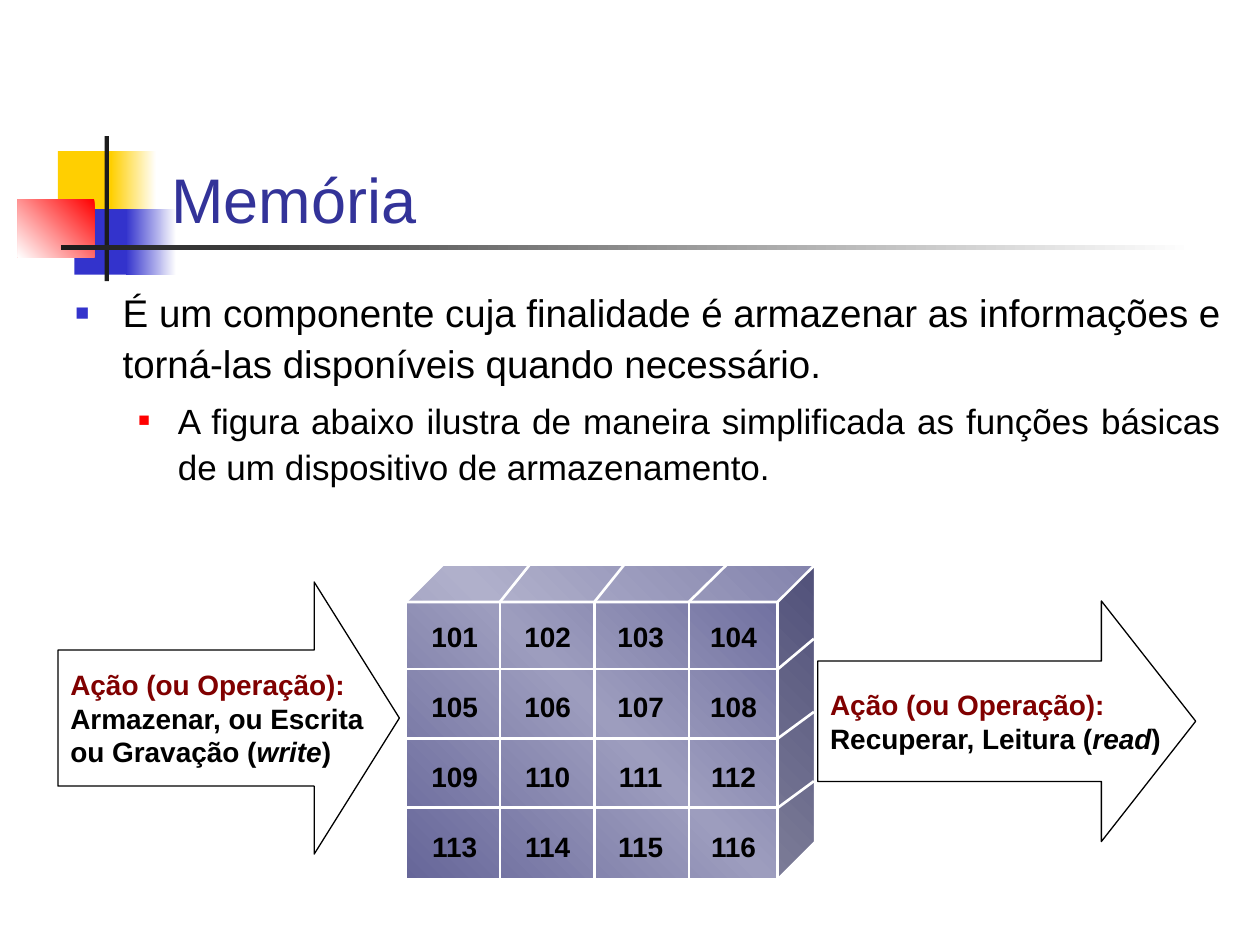
from copy import deepcopy

from lxml import etree
from pptx import Presentation
from pptx.dml.color import RGBColor
from pptx.enum.shapes import MSO_CONNECTOR, MSO_SHAPE
from pptx.enum.text import MSO_ANCHOR, PP_ALIGN
from pptx.oxml.ns import qn
from pptx.util import Pt

WHITE = RGBColor(0xFF, 0xFF, 0xFF)
BLACK = RGBColor(0, 0, 0)
YELLOW = RGBColor(0xFF, 0xCF, 0x01)
BLUE = RGBColor(0x33, 0x33, 0xCC)
RED = RGBColor(0xFF, 0, 0)
CHARCOAL = RGBColor(0x1C, 0x1C, 0x1C)
TITLE_BLUE = RGBColor(0x33, 0x33, 0x99)
MAROON = RGBColor(0x80, 0, 0)
SLATE = RGBColor(0x66, 0x66, 0x99)
LAVENDER = RGBColor(0x9D, 0x9D, 0xBE)


def paint(shape, colors, angle=180):
    """Fill with one colour, or a gradient of evenly spaced colours; angle is counter-clockwise."""
    shape.shadow.inherit = False
    shape.line.fill.background()
    if len(colors) == 1:
        shape.fill.solid()
        shape.fill.fore_color.rgb = colors[0]
        return
    shape.fill.gradient()
    shape.fill.gradient_angle = angle
    stops = shape.fill.gradient_stops
    if len(colors) == 3:
        first = shape.element.spPr.find(".//" + qn("a:gs"))
        first.addnext(deepcopy(first))
        stops = shape.fill.gradient_stops
    for index, (stop, color) in enumerate(zip(stops, colors)):
        stop.position = index / (len(colors) - 1)
        stop.color.rgb = color


def add_span(para, text, size, color=BLACK, bold=False, italic=False):
    span = para.add_run()
    span.text = text
    span.font.name = "Arial"
    span.font.size = Pt(size)
    span.font.color.rgb = color
    span.font.bold = bold
    span.font.italic = italic


deck = Presentation()
deck.slide_width, deck.slide_height = Pt(720), Pt(540)
page = deck.slides.add_slide(deck.slide_layouts[6])

# Corner ornament and rule under the title
ornament = [
    (33.1, 86.4, 34.6, 37.4, [YELLOW], 180),
    (63.4, 86.4, 25.9, 37.4, [WHITE, YELLOW], 180),
    (42.5, 119.5, 33.1, 37.4, [BLUE], 180),
    (72, 119.5, 28.8, 37.4, [WHITE, BLUE], 180),
    (10.1, 113.8, 43.9, 33.1, [RED, WHITE], 225),
    (59.8, 77.8, 2.5, 82.8, [CHARCOAL], 180),
    (34.6, 140.2, 648, 2.5, [WHITE, CHARCOAL], 180),
]
for left, top, width, height, colors, angle in ornament:
    block = page.shapes.add_shape(MSO_SHAPE.RECTANGLE, Pt(left), Pt(top), Pt(width), Pt(height))
    paint(block, colors, angle)

# Title
title = page.shapes.add_textbox(Pt(90.7), Pt(48.2), Pt(613.4), Pt(90)).text_frame
title.word_wrap = True
title.vertical_anchor = MSO_ANCHOR.BOTTOM
add_span(title.paragraphs[0], "Memória", 36, TITLE_BLUE)

# Body text: text, level, size, margin, hanging indent, space before, bullet colour, bullet percent
body = page.shapes.add_textbox(Pt(36), Pt(159.1), Pt(668.9), Pt(135.4)).text_frame
body.word_wrap = True
points = [
    ("É um componente cuja finalidade é armazenar as informações e torná-las "
     "disponíveis quando necessário.", 0, 22, 27, 27, 5.5, BLUE, 60),
    ("A figura abaixo ilustra de maneira simplificada as funções básicas de um "
     "dispositivo de armazenamento.", 1, 20, 58.5, 22.5, 5, RED, 55),
]
for index, (text, level, size, margin, hanging, before, color, percent) in enumerate(points):
    para = body.add_paragraph() if index else body.paragraphs[0]
    para.level = level
    para.alignment = PP_ALIGN.JUSTIFY
    para.line_spacing = 1.1
    para.space_before = Pt(before)
    add_span(para, text, size)
    properties = para._p.get_or_add_pPr()
    properties.set("marL", str(Pt(margin)))
    properties.set("indent", str(-Pt(hanging)))
    bullet_color = etree.SubElement(properties, qn("a:buClr"))
    etree.SubElement(bullet_color, qn("a:srgbClr"), val=str(color))
    etree.SubElement(properties, qn("a:buSzPct"), val=str(percent * 1000))
    etree.SubElement(properties, qn("a:buFont"), typeface="Arial")
    etree.SubElement(properties, qn("a:buChar"), char="■")

# Memory cube
memory = page.shapes.add_group_shape().shapes
cube = memory.add_shape(MSO_SHAPE.CUBE, Pt(231.8), Pt(322.6), Pt(234), Pt(180))
cube.adjustments[0] = 0.119
paint(cube, [SLATE, LAVENDER, SLATE], 225)
cube.line.color.rgb = WHITE
cube.line.width = Pt(1.5)

front_left, front_right, front_top, front_bottom = 231.8, 444.6, 343.8, 502.6
back_right, back_top = 465.1, 322.6
row_lines = [382.3 + 39.6 * row for row in range(3)]
column_lines = [285.8 + 54 * column for column in range(3)]
grid = [(front_left, y, front_right, y) for y in row_lines]
grid += [(x, front_bottom, x, front_top) for x in column_lines]
grid += [(x, front_top, x + shift, back_top) for x, shift in zip(column_lines, (17, 17, 21.6))]
grid += [(front_right, y, back_right, y - rise) for y, rise in zip(row_lines, (17.3, 15.1, 15.1))]
for x1, y1, x2, y2 in grid:
    edge = memory.add_connector(MSO_CONNECTOR.STRAIGHT, Pt(x1), Pt(y1), Pt(x2), Pt(y2))
    edge.line.color.rgb = WHITE
    edge.line.width = Pt(1.5)
    etree.SubElement(edge.element.spPr, qn("a:effectLst"))

for cell in range(16):
    row, column = divmod(cell, 4)
    box = memory.add_textbox(Pt(233.3 + 53.1 * column), Pt(343.4 + 40.1 * row), Pt(53.1), Pt(40.1))
    frame = box.text_frame
    frame.word_wrap = True
    frame.vertical_anchor = MSO_ANCHOR.MIDDLE
    para = frame.paragraphs[0]
    para.alignment = PP_ALIGN.CENTER
    para.space_before = Pt(4)
    add_span(para, str(101 + cell), 16, bold=True)

# Write and read arrows: the last line holds an italic term
arrows = [
    (33.1, 332.6, 195.1, 155.5, 0.313, ["Armazenar, ou Escrita"], "ou Gravação (", "write"),
    (467.3, 343.4, 216, 137.5, 0.392, [], "Recuperar, Leitura (", "read"),
]
for left, top, width, height, head, middle_lines, lead, term in arrows:
    arrow = page.shapes.add_shape(MSO_SHAPE.RIGHT_ARROW, Pt(left), Pt(top), Pt(width), Pt(height))
    arrow.adjustments[0] = 0.5
    arrow.adjustments[1] = head
    arrow.shadow.inherit = False
    arrow.fill.background()
    arrow.line.color.rgb = BLACK
    arrow.line.width = Pt(0.75)
    frame = arrow.text_frame
    frame.word_wrap = False
    frame.vertical_anchor = MSO_ANCHOR.MIDDLE
    add_span(frame.paragraphs[0], "Ação (ou Operação):", 16, MAROON, bold=True)
    for line in middle_lines:
        add_span(frame.add_paragraph(), line, 16, bold=True)
    last = frame.add_paragraph()
    for text, italic in ((lead, False), (term, True), (")", False)):
        add_span(last, text, 16, bold=True, italic=italic)
    for para in frame.paragraphs:
        para.alignment = PP_ALIGN.LEFT

deck.save("out.pptx")
